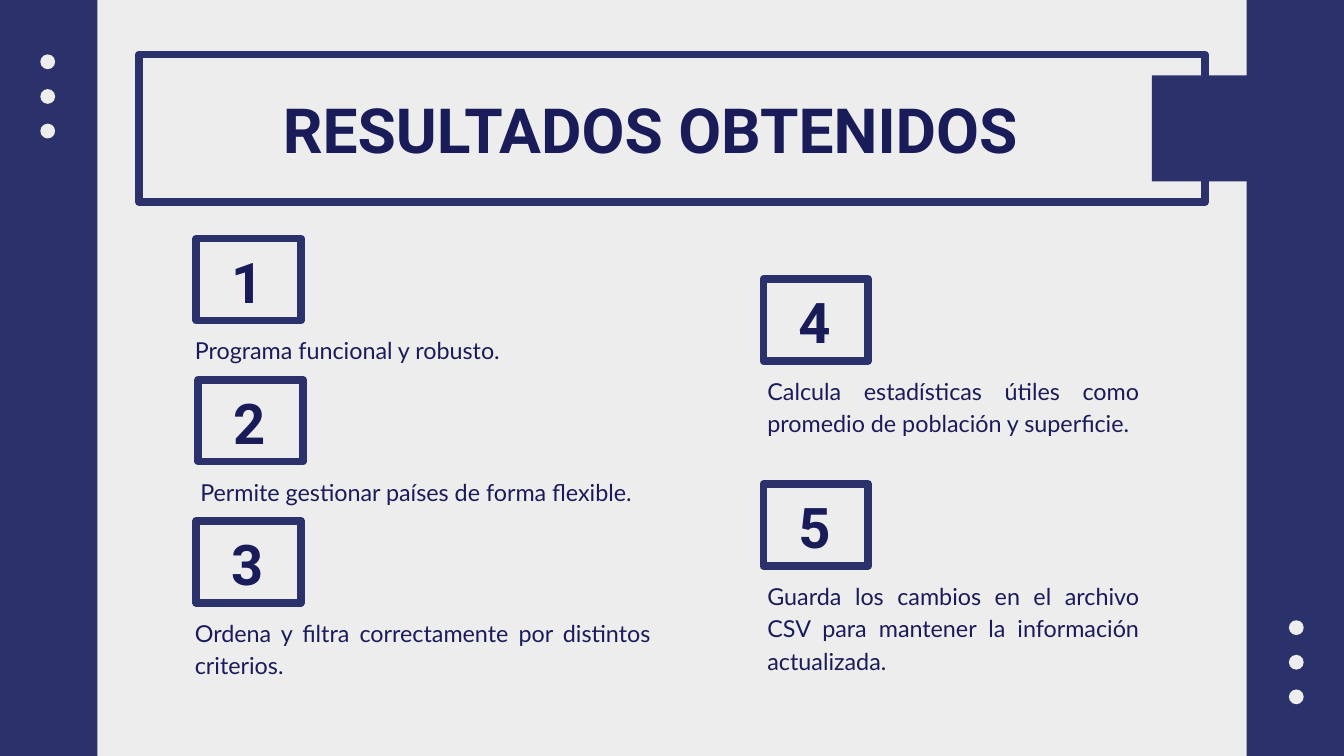
from dataclasses import dataclass

import pptx
import pptx.dml.color
import pptx.enum.shapes
import pptx.enum.text
import pptx.util

COLUMNS, ROWS = 20, 11.25
SHAPES = pptx.enum.shapes.MSO_SHAPE
ALIGN = pptx.enum.text.PP_ALIGN


@dataclass(frozen=True)
class TextStyle:
    font: str
    size: float
    line: float
    align: object
    bold: bool = False
    spacing: float = 0


@dataclass(frozen=True)
class Theme:
    paper: str = "EDEDED"
    navy: str = "2B326B"
    ink: str = "191C59"
    frame_width: float = 8.25
    title: TextStyle = TextStyle("Roboto", 66.7, 82, ALIGN.CENTER, True)
    number: TextStyle = TextStyle("Roboto", 60.1, 74, ALIGN.CENTER, True, 3.3)
    body: TextStyle = TextStyle("Lato", 25, 35, ALIGN.JUSTIFY)


def rgb(value):
    return pptx.dml.color.RGBColor.from_string(value)


class SlideBuilder:
    """Draws on one slide; lengths are columns and rows of the slide grid."""

    def __init__(self, presentation, theme):
        self.theme = theme
        self.column = presentation.slide_width / COLUMNS
        self.row = presentation.slide_height / ROWS
        self.slide = presentation.slides.add_slide(presentation.slide_layouts[6])
        self.slide.background.fill.solid()
        self.slide.background.fill.fore_color.rgb = rgb(theme.paper)

    def box(self, left, top, width, height):
        return (round(left * self.column), round(top * self.row),
                round(width * self.column), round(height * self.row))

    def solid(self, left, top, width, height, color, preset=SHAPES.RECTANGLE):
        shape = self.slide.shapes.add_shape(preset, *self.box(left, top, width, height))
        shape.shadow.inherit = False
        shape.fill.solid()
        shape.fill.fore_color.rgb = rgb(color)
        shape.line.fill.background()

    def frame(self, left, top, width, height):
        shape = self.slide.shapes.add_shape(
            SHAPES.RECTANGLE, *self.box(left, top, width, height))
        shape.shadow.inherit = False
        shape.fill.background()
        shape.line.color.rgb = rgb(self.theme.navy)
        shape.line.width = pptx.util.Pt(self.theme.frame_width)

    def text(self, left, top, width, height, words, style):
        text_frame = self.slide.shapes.add_textbox(
            *self.box(left, top, width, height)).text_frame
        text_frame.word_wrap = True
        text_frame.margin_left = text_frame.margin_right = 0
        text_frame.margin_top = text_frame.margin_bottom = 0
        text_frame.text = words
        paragraph = text_frame.paragraphs[0]
        paragraph.alignment = style.align
        paragraph.line_spacing = pptx.util.Pt(style.line)
        run = paragraph.runs[0]
        run.font.name = style.font
        run.font.size = pptx.util.Pt(style.size)
        run.font.bold = style.bold
        run.font.color.rgb = rgb(self.theme.ink)
        if style.spacing:
            run._r.get_or_add_rPr().set("spc", str(round(style.spacing * 100)))

    def dots(self, left, top, count=3, size=0.22, pitch=0.515):
        for index in range(count):
            self.solid(left, top + index * pitch, size, size,
                       self.theme.paper, SHAPES.OVAL)

    def result(self, number, left, top, indent, width, lines, words):
        """Framed number with its explanation below."""
        self.frame(left, top, 1.56, 1.22)
        self.text(left - 0.38, top + 0.1, 2.28, 1.01, str(number), self.theme.number)
        self.text(left + indent, top + 1.39, width, lines * 0.48, words, self.theme.body)


def main():
    presentation = pptx.Presentation()
    presentation.slide_width = pptx.util.Inches(20)
    presentation.slide_height = pptx.util.Inches(11.25)
    theme = Theme()
    builder = SlideBuilder(presentation, theme)

    bar = 1.45
    for left in (0, COLUMNS - bar):
        builder.solid(left, 0, bar, ROWS, theme.navy)
    builder.dots(0.6, 0.81)
    builder.dots(19.18, 9.23)

    builder.frame(2.07, 0.81, 15.86, 2.2)
    builder.text(1.75, 1.33, 15.86, 1.14, "RESULTADOS OBTENIDOS", theme.title)
    builder.solid(17.14, 1.12, 1.58, 1.58, theme.navy)

    results = [
        (2.92, 3.55, -0.02, 5.5, 1, "Programa funcional y robusto."),
        (2.95, 5.65, 0.03, 6.89, 1, "Permite gestionar países de forma flexible."),
        (2.92, 7.75, -0.02, 6.78, 2,
         "Ordena y filtra correctamente por distintos criterios."),
        (11.36, 4.15, 0.06, 5.53, 2,
         "Calcula estadísticas útiles como promedio de población y superficie."),
        (11.36, 7.2, 0.06, 5.53, 3,
         "Guarda los cambios en el archivo CSV para mantener la información actualizada."),
    ]
    for number, result in enumerate(results, start=1):
        builder.result(number, *result)

    presentation.save("out.pptx")


if __name__ == "__main__":
    main()
